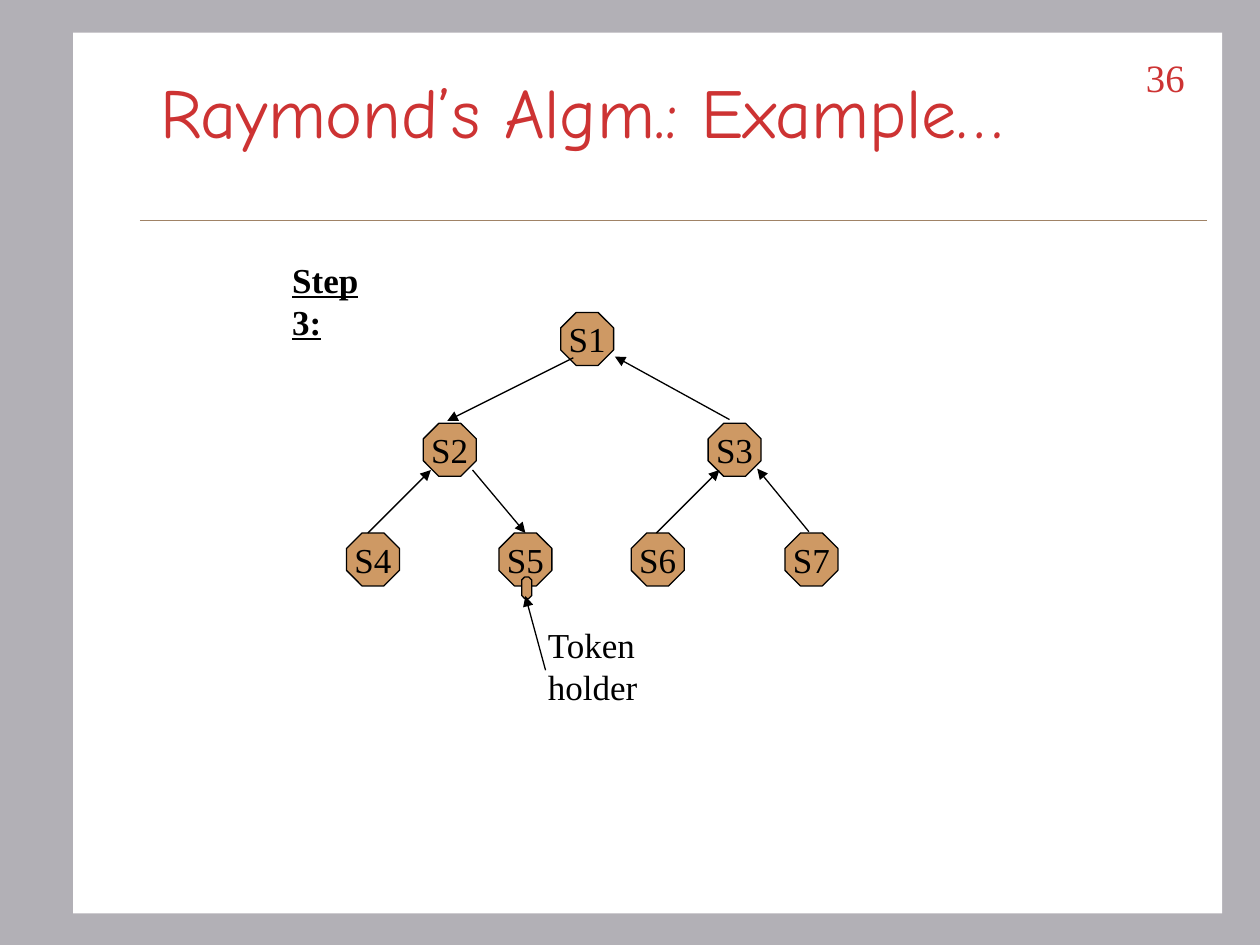
from lxml.etree import SubElement
from pptx import Presentation
from pptx.dml.color import RGBColor
from pptx.enum.shapes import MSO_CONNECTOR as Connector, MSO_SHAPE as Shape
from pptx.enum.text import MSO_ANCHOR as Anchor, PP_ALIGN as Align
from pptx.oxml.ns import qn
from pptx.util import Inches, Pt

GREY = RGBColor(0xB2, 0xB0, 0xB6)
WHITE = RGBColor(0xFF, 0xFF, 0xFF)
RED = RGBColor(0xCD, 0x33, 0x33)
TAN = RGBColor(0xCE, 0x99, 0x64)
BROWN = RGBColor(0xA0, 0x83, 0x66)
BLACK = RGBColor(0, 0, 0)
NODE_SIZE = 0.42
BODY = {"name": "Times New Roman", "size": Pt(20)}


def write(frame, lines, color, font, para_format):
    """Fill a text frame with one formatted paragraph per line."""
    for index, line in enumerate(lines):
        para = frame.add_paragraph() if index else frame.paragraphs[0]
        for name, value in para_format.items():
            setattr(para, name, value)
        span = para.add_run()
        span.text = line
        span.font.color.rgb = color
        for name, value in font.items():
            setattr(span.font, name, value)


def draw_line(start, end, color, width, arrow=True):
    """Draw a straight line, with an arrowhead at its end if wanted."""
    line = page.shapes.add_connector(
        Connector.STRAIGHT, *[Inches(value) for value in (*start, *end)])
    line.line.color.rgb = color
    line.line.width = Pt(width)
    if arrow:
        SubElement(line.line._get_or_add_ln(), qn("a:tailEnd"), type="triangle")
    SubElement(line._element.spPr, qn("a:effectLst"))


deck = Presentation()
deck.slide_width, deck.slide_height = Inches(10), Inches(7.5)
page = deck.slides.add_slide(deck.slide_layouts[5])
page.background.fill.solid()
page.background.fill.fore_color.rgb = GREY

# White panel, placed behind the title, and the rule below the title
panel = page.shapes.add_shape(
    Shape.RECTANGLE, Inches(0.58), Inches(0.26), Inches(9.12), Inches(6.99))
panel.shadow.inherit = False
panel.fill.solid()
panel.fill.fore_color.rgb = WHITE
panel.line.fill.background()
title = page.shapes.title
title._element.addprevious(panel._element)
draw_line((1.11, 1.75), (9.58, 1.75), BROWN, 0.25, arrow=False)

# Title
title.left, title.top = Inches(1.17), Inches(0.25)
title.width, title.height = Inches(8.5), Inches(1.25)
title.text_frame.vertical_anchor = Anchor.MIDDLE
write(title.text_frame, ["Raymond’s Algm.: Example…"], RED,
      {"name": "Comic Neue", "size": Pt(40)}, {"alignment": Align.LEFT})

# Tree nodes
nodes = {
    "S1": (4.45, 2.48),
    "S2": (3.36, 3.36), "S3": (5.62, 3.36),
    "S4": (2.75, 4.23), "S5": (3.96, 4.23), "S6": (5.01, 4.23), "S7": (6.23, 4.23),
}
octagons = [(label, left, top, NODE_SIZE, NODE_SIZE)
            for label, (left, top) in nodes.items()]
octagons.append(("", 4.14, 4.58, 0.08, 0.17))  # the token on S5
for label, *place in octagons:
    octagon = page.shapes.add_shape(
        Shape.OCTAGON, *[Inches(value) for value in place])
    octagon.shadow.inherit = False
    octagon.fill.solid()
    octagon.fill.fore_color.rgb = TAN
    octagon.line.color.rgb = BLACK
    octagon.line.width = Pt(0.75)
    if label:
        octagon.text_frame.word_wrap = False
        octagon.text_frame.vertical_anchor = Anchor.MIDDLE
        write(octagon.text_frame, [label], BLACK, BODY, {"alignment": Align.CENTER})

# Arrows, each pointing towards the token
arrows = [
    ((4.55, 2.84), (3.55, 3.34)),  # S1 to S2
    ((5.79, 3.33), (4.88, 2.83)),  # S3 to S1
    ((2.92, 4.23), (3.42, 3.73)),  # S4 to S2
    ((3.75, 3.73), (4.17, 4.23)),  # S2 to S5
    ((5.21, 4.23), (5.71, 3.73)),  # S6 to S3
    ((6.42, 4.22), (6.01, 3.72)),  # S7 to S3
    ((4.33, 5.32), (4.17, 4.73)),  # caption to token
]
for start, end in arrows:
    draw_line(start, end, BLACK, 0.75)

# Page number, step heading and token caption
texts = [
    ((8.67, 0.42, 0.83, 0.5), ["36"], RED, {**BODY, "size": Pt(22.1)},
     {"alignment": Align.RIGHT, "line_spacing": 0.9, "space_before": Pt(16.2)}),
    ((2.22, 2, 1.02, 0.44), ["Step 3:"], BLACK,
     {**BODY, "bold": True, "underline": True}, {}),
    ((4.25, 4.9, 0.91, 0.77), ["Token", "holder"], BLACK, BODY, {}),
]
for place, lines, color, font, para_format in texts:
    box = page.shapes.add_textbox(*[Inches(value) for value in place])
    box.text_frame.word_wrap = color == RED
    write(box.text_frame, lines, color, font, para_format)

deck.save("out.pptx")
